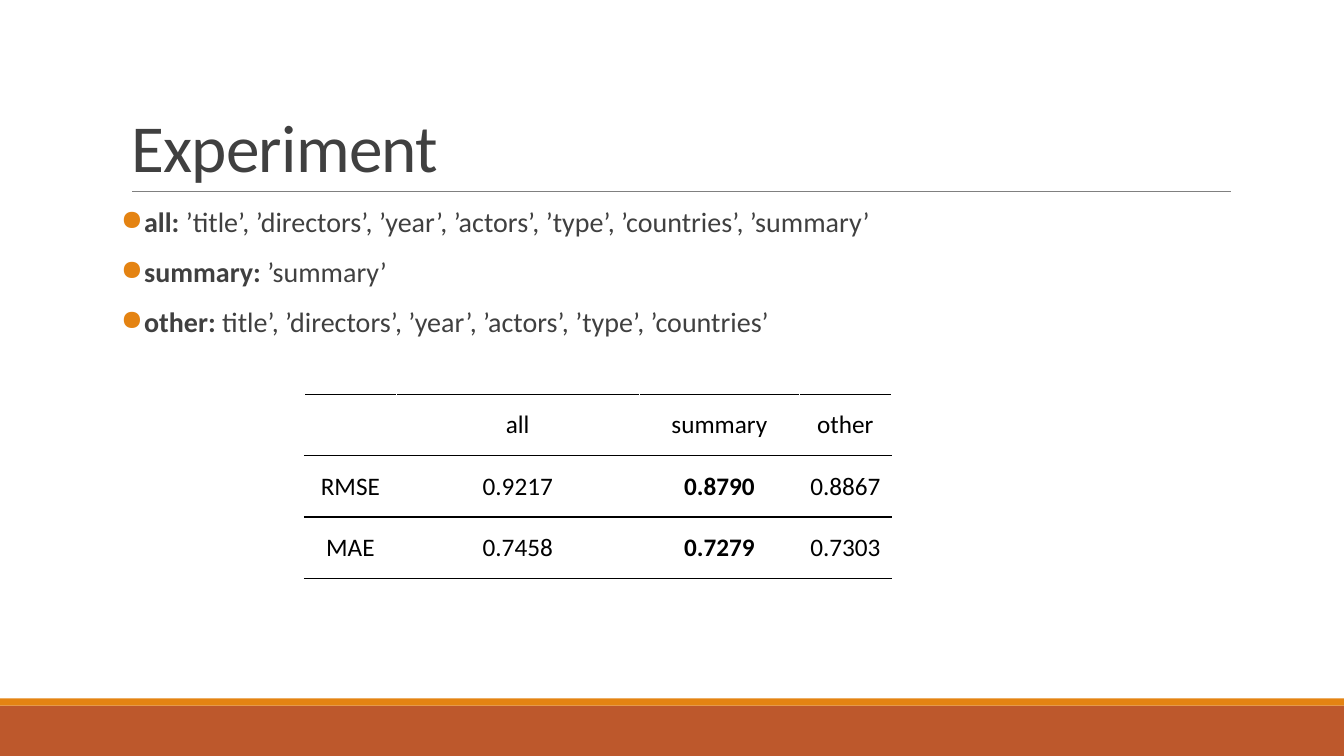
"""Build the slide that reports the experiment's feature sets and errors."""
from dataclasses import dataclass
from typing import Optional

from pptx import Presentation
from pptx.dml.color import RGBColor
from pptx.enum.shapes import MSO_CONNECTOR as Connector, MSO_SHAPE as Shape
from pptx.enum.text import MSO_ANCHOR as Anchor, PP_ALIGN as Align
from pptx.oxml import parse_xml
from pptx.oxml.ns import nsdecls
from pptx.oxml.xmlchemy import OxmlElement
from pptx.util import Inches, Pt

FONT = "Calibri"
GRAY = "404040"
BLACK = "000000"
ORANGE = "E48312"
RUST = "BD582C"
RULE_GRAY = "808080"


@dataclass(frozen=True)
class Band:
    top: float
    height: float
    color: str


@dataclass(frozen=True)
class FeatureSet:
    name: str
    fields: str


BANDS = [Band(7, 0.5, RUST), Band(6.93, 0.07, ORANGE)]
FEATURE_SETS = [
    FeatureSet("all: ", "’title’, ’directors’, ’year’, ’actors’, ’type’, ’countries’, ’summary’"),
    FeatureSet("summary: ", "’summary’"),
    FeatureSet("other: ", "title’, ’directors’, ’year’, ’actors’, ’type’, ’countries’"),
]
RESULTS = [
    ["", "all", "summary", "other"],
    ["RMSE", "0.9217", "0.8790", "0.8867"],
    ["MAE", "0.7458", "0.7279", "0.7303"],
]
BEST_COLUMN = 2
COLUMN_WIDTHS = [0.91, 2.41, 1.59, 0.91]
ROW_HEIGHT = 0.61


def rgb(color: str) -> RGBColor:
    return RGBColor.from_string(color)


def add_text(paragraph, text: str, *, size: float, color: str = GRAY,
             bold: bool = False, spacing: Optional[float] = None) -> None:
    run = paragraph.add_run()
    run.text = text
    run.font.name = FONT
    run.font.size = Pt(size)
    run.font.bold = bold
    run.font.color.rgb = rgb(color)
    if spacing is not None:
        run.font._element.set("spc", str(round(spacing * 100)))


def add_band(slide, band: Band, width: int) -> None:
    shape = slide.shapes.add_shape(
        Shape.RECTANGLE, 0, Inches(band.top), width, Inches(band.height))
    shape.shadow.inherit = False
    shape.fill.solid()
    shape.fill.fore_color.rgb = rgb(band.color)
    shape.line.fill.background()


def add_rule(slide) -> None:
    rule = slide.shapes.add_connector(
        Connector.STRAIGHT, Inches(1.31), Inches(1.9), Inches(12.21), Inches(1.9))
    rule.line.color.rgb = rgb(RULE_GRAY)
    rule.line.width = Pt(0.5)
    rule._element.spPr.append(OxmlElement("a:effectLst"))


def write_title(slide, text: str) -> None:
    title = slide.shapes.title
    title.left, title.top = Inches(1.2), Inches(0.31)
    title.width, title.height = Inches(11), Inches(1.59)
    title.text_frame.vertical_anchor = Anchor.BOTTOM
    paragraph = title.text_frame.paragraphs[0]
    paragraph.alignment = Align.LEFT
    paragraph.line_spacing = 0.85
    add_text(paragraph, text, size=48, spacing=-0.5)


def add_bullet(paragraph, indent: float) -> None:
    properties = paragraph._p.get_or_add_pPr()
    properties.set("marL", str(Inches(indent)))
    properties.set("indent", str(-Inches(indent)))
    color = parse_xml(f'<a:buClr {nsdecls("a")}><a:srgbClr val="{ORANGE}"/></a:buClr>')
    bullet = parse_xml(f'<a:buChar {nsdecls("a")} char="●"/>')
    properties.extend([color, bullet])


def add_feature_list(slide) -> None:
    box = slide.shapes.add_textbox(Inches(1.2), Inches(2.02), Inches(11), Inches(4.4))
    frame = box.text_frame
    frame.word_wrap = True
    frame.margin_left = frame.margin_right = 0
    for index, feature_set in enumerate(FEATURE_SETS):
        paragraph = frame.add_paragraph() if index else frame.paragraphs[0]
        paragraph.line_spacing = 0.9
        paragraph.space_before = Pt(12)
        paragraph.space_after = Pt(2)
        add_bullet(paragraph, 0.23)
        add_text(paragraph, feature_set.name, size=20, bold=True)
        add_text(paragraph, feature_set.fields, size=20)


def add_border(cell, side: str) -> None:
    border = parse_xml(
        f'<a:{side} {nsdecls("a")} w="{Pt(1)}"><a:solidFill>'
        f'<a:srgbClr val="{BLACK}"/></a:solidFill></a:{side}>')
    cell._tc.get_or_add_tcPr().insert(0, border)


def fill_cell(cell, text: str, bold: bool) -> None:
    cell.fill.background()
    for side in ("lnB", "lnT"):
        add_border(cell, side)
    cell.vertical_anchor = Anchor.MIDDLE
    cell.margin_left = cell.margin_right = cell.margin_top = Inches(0.01)
    cell.margin_bottom = 0
    if text:
        paragraph = cell.text_frame.paragraphs[0]
        paragraph.alignment = Align.CENTER
        add_text(paragraph, text, size=18, color=BLACK, bold=bold)


def add_results(slide) -> None:
    table = slide.shapes.add_table(
        len(RESULTS), len(COLUMN_WIDTHS), Inches(3.02), Inches(3.91),
        Inches(sum(COLUMN_WIDTHS)), Inches(ROW_HEIGHT * len(RESULTS))).table
    table.first_row = table.horz_banding = False
    for column, width in zip(table.columns, COLUMN_WIDTHS):
        column.width = Inches(width)
    for row_index, values in enumerate(RESULTS):
        table.rows[row_index].height = Inches(ROW_HEIGHT)
        for column_index, value in enumerate(values):
            bold = row_index > 0 and column_index == BEST_COLUMN
            fill_cell(table.cell(row_index, column_index), value, bold)


def main() -> None:
    presentation = Presentation()
    presentation.slide_width = Inches(13.33)
    presentation.slide_height = Inches(7.5)
    slide = presentation.slides.add_slide(presentation.slide_layouts.get_by_name("Title Only"))
    for band in BANDS:
        add_band(slide, band, presentation.slide_width)
    add_rule(slide)
    write_title(slide, "Experiment")
    add_feature_list(slide)
    add_results(slide)
    presentation.save("out.pptx")


if __name__ == "__main__":
    main()
